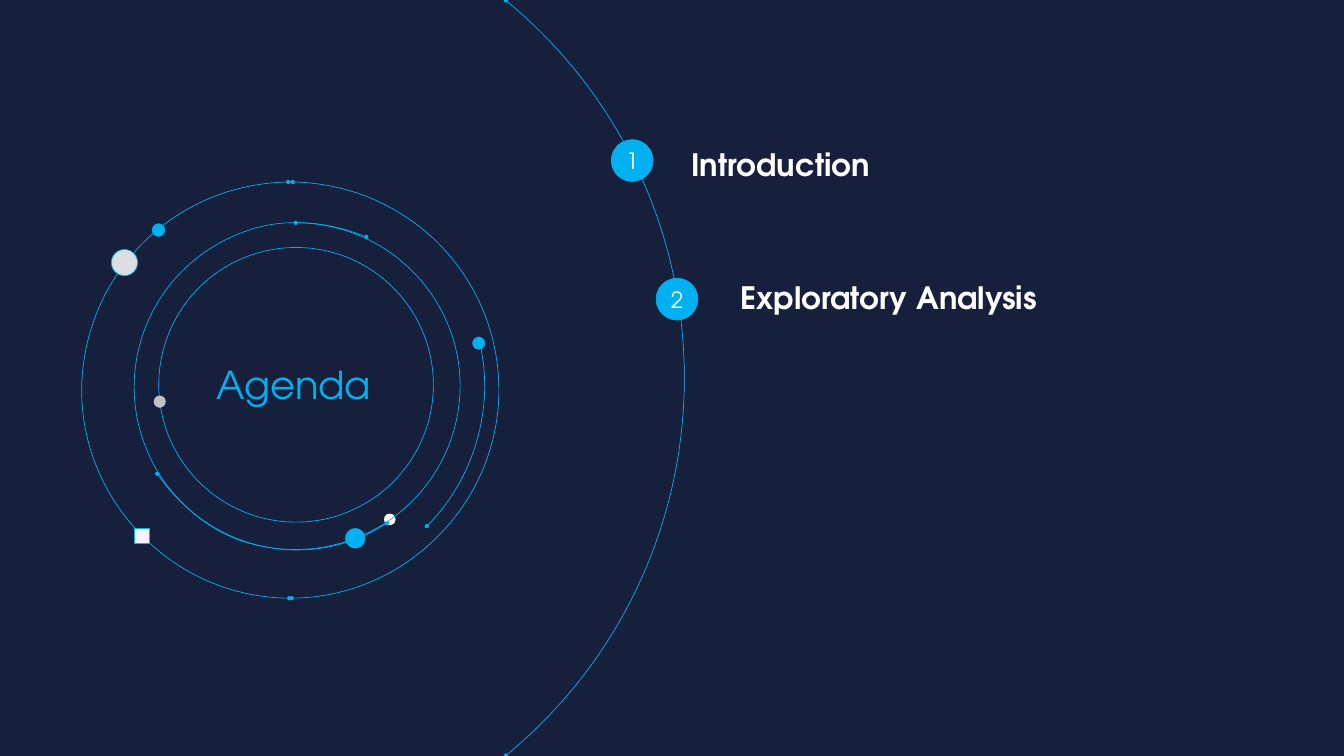
from dataclasses import dataclass
from typing import Optional

from lxml import etree
from pptx import Presentation
from pptx.dml.color import RGBColor
from pptx.enum.shapes import MSO_SHAPE
from pptx.enum.text import MSO_ANCHOR, MSO_AUTO_SIZE, PP_ALIGN
from pptx.oxml.ns import qn
from pptx.util import Inches, Pt

OVAL = MSO_SHAPE.OVAL
RECTANGLE = MSO_SHAPE.RECTANGLE
MIDDLE = MSO_ANCHOR.MIDDLE
TOP = MSO_ANCHOR.TOP
CENTER = PP_ALIGN.CENTER
LEFT = PP_ALIGN.LEFT
GROW = MSO_AUTO_SIZE.SHAPE_TO_FIT_TEXT
BLANK_LAYOUT = 6


@dataclass(frozen=True)
class Theme:
    font: str = "TeX Gyre Adventor"
    navy: str = "161F3C"
    blue: str = "00B0F0"
    white: str = "FFFFFF"
    lavender: str = "F7F4FF"
    silver: str = "DCDEE0"
    gray: str = "C0C3C5"
    line_width: float = 1
    title_size: float = 55
    item_size: float = 44
    number_size: float = 32


THEME = Theme()


@dataclass(frozen=True)
class Marker:
    left: float
    top: float
    size: float
    fill: Optional[str] = None
    outlined: bool = False
    kind: int = OVAL


@dataclass(frozen=True)
class Arc:
    start: tuple
    curves: tuple


@dataclass(frozen=True)
class AgendaItem:
    text: str
    circle_left: float
    circle_top: float
    text_left: float
    text_top: float
    text_width: float


OUTER_ARCS = (
    Arc((10.04, 0.01), (
        ((12.28, 1.85), (13.58, 4.6), (13.58, 7.5)),
        ((13.58, 10.4), (12.28, 13.15), (10.04, 14.99)),
    )),
    Arc((9.5, 6.72), (
        ((9.68, 7.42), (9.65, 8.16), (9.43, 8.85)),
        ((9.24, 9.45), (8.91, 10), (8.47, 10.44)),
    )),
)
HALF_RINGS = (
    Arc((5.79, 11.87), (
        ((4.61, 11.87), (3.56, 11.39), (2.81, 10.62)),
        ((2.06, 9.86), (1.62, 8.83), (1.62, 7.74)),
        ((1.63, 6.62), (2.07, 5.57), (2.86, 4.8)),
        ((3.61, 4.06), (4.65, 3.61), (5.81, 3.61)),
    )),
    Arc((5.74, 11.87), (
        ((6.91, 11.87), (7.96, 11.39), (8.71, 10.62)),
        ((9.46, 9.86), (9.9, 8.83), (9.9, 7.74)),
        ((9.9, 6.62), (9.45, 5.57), (8.67, 4.8)),
        ((7.91, 4.06), (6.87, 3.61), (5.72, 3.61)),
    )),
)
INNER_ARCS = (
    Arc((5.87, 4.42), (
        ((7.75, 4.43), (9.17, 5.98), (9.13, 7.73)),
        ((9.07, 9.86), (7.02, 11.39), (4.88, 10.76)),
        ((4.51, 10.65), (4.17, 10.45), (3.87, 10.21)),
        ((3.58, 9.97), (3.32, 9.69), (3.12, 9.4)),
    )),
    Arc((7.68, 10.38), (
        ((6.1, 11.4), (4.07, 10.88), (3.15, 9.39)),
        ((2.03, 7.57), (2.91, 5.17), (5.05, 4.53)),
        ((5.42, 4.42), (5.81, 4.4), (6.19, 4.43)),
        ((6.57, 4.47), (6.94, 4.57), (7.27, 4.7)),
    )),
)
INNER_MARKERS = (
    Marker(3.15, 4.91, 5.45, outlined=True),
    Marker(6.85, 10.48, 0.4, THEME.blue),
    Marker(3.05, 7.85, 0.24, THEME.gray),
    Marker(9.38, 6.69, 0.24, THEME.blue, True),
    Marker(7.62, 10.19, 0.23, THEME.white),
)
RING_MARKERS = (
    Marker(3.02, 4.44, 0.25, THEME.blue, True),
    Marker(2.67, 10.48, 0.3, THEME.lavender, True, RECTANGLE),
    Marker(2.21, 4.95, 0.52, THEME.silver, True),
)
HUB = Marker(3.4, 5.17, 4.94, THEME.navy)
ITEMS = (
    AgendaItem("Introduction", 12.13, 2.77, 13.62, 2.85, 10.49),
    AgendaItem("Exploratory Analysis", 13.02, 5.52, 14.6, 5.48, 10.06),
)


def paint(shape, fill: Optional[str], outlined: bool) -> None:
    shape.shadow.inherit = False
    if fill:
        shape.fill.solid()
        shape.fill.fore_color.rgb = RGBColor.from_string(fill)
    else:
        shape.fill.background()
    if outlined:
        shape.line.color.rgb = RGBColor.from_string(THEME.blue)
        shape.line.width = Pt(THEME.line_width)
    else:
        shape.line.fill.background()


def write(shape, text: str, *, size: float, color: str = THEME.white, bold: bool = False,
          align=CENTER, anchor=MIDDLE, wrap: bool = False, inset: Optional[float] = None) -> None:
    frame = shape.text_frame
    frame.word_wrap = wrap
    frame.vertical_anchor = anchor
    if inset is not None:
        frame.margin_left = frame.margin_right = Inches(inset)
        frame.margin_top = frame.margin_bottom = Inches(inset)
    paragraph = frame.paragraphs[0]
    paragraph.alignment = align
    run = paragraph.add_run()
    run.text = text
    run.font.name = THEME.font
    run.font.size = Pt(size)
    run.font.bold = bold
    run.font.color.rgb = RGBColor.from_string(color)


def draw_marker(slide, marker: Marker):
    shape = slide.shapes.add_shape(marker.kind, Inches(marker.left), Inches(marker.top),
                                   Inches(marker.size), Inches(marker.size))
    paint(shape, marker.fill, marker.outlined)
    return shape


def draw_arc(slide, arc: Arc) -> None:
    anchors = [tuple(Inches(value) for value in curve[-1]) for curve in arc.curves]
    builder = slide.shapes.build_freeform(Inches(arc.start[0]), Inches(arc.start[1]))
    builder.add_line_segments(anchors, close=False)
    shape = builder.convert_to_shape()
    paint(shape, None, True)
    segments = list(shape.element.iter(qn("a:lnTo")))
    for segment, curve in zip(segments, arc.curves):
        bezier = etree.Element(qn("a:cubicBezTo"))
        for x, y in curve:
            etree.SubElement(bezier, qn("a:pt"), x=str(Inches(x) - shape.left),
                             y=str(Inches(y) - shape.top))
        segment.getparent().replace(segment, bezier)
    outline = shape.element.spPr.find(qn("a:ln"))
    for end in ("a:headEnd", "a:tailEnd"):
        etree.SubElement(outline, qn(end), type="oval")


def draw_title(slide) -> None:
    shape = slide.shapes.add_shape(RECTANGLE, Inches(4.22), Inches(7.11), Inches(3.23), Inches(1.04))
    paint(shape, THEME.navy, False)
    write(shape, "Agenda", size=THEME.title_size, color=THEME.blue, inset=0.06)


def draw_item(slide, number: int, item: AgendaItem) -> None:
    circle = draw_marker(slide, Marker(item.circle_left, item.circle_top, 0.83, THEME.blue, True))
    write(circle, str(number), size=THEME.number_size, inset=0.06)
    box = slide.shapes.add_textbox(Inches(item.text_left), Inches(item.text_top),
                                   Inches(item.text_width), Inches(0.84))
    write(box, item.text, size=THEME.item_size, bold=True, align=LEFT, anchor=TOP, wrap=True)
    box.text_frame.auto_size = GROW


def main() -> None:
    presentation = Presentation()
    presentation.slide_width = Inches(26.67)
    presentation.slide_height = Inches(15)
    slide = presentation.slides.add_slide(presentation.slide_layouts[BLANK_LAYOUT])
    slide.background.fill.solid()
    slide.background.fill.fore_color.rgb = RGBColor.from_string(THEME.navy)

    for arc in OUTER_ARCS:
        draw_arc(slide, arc)
    for marker in (*INNER_MARKERS, HUB):
        draw_marker(slide, marker)
    draw_title(slide)
    for number, item in enumerate(ITEMS, start=1):
        draw_item(slide, number, item)
    for arc in HALF_RINGS:
        draw_arc(slide, arc)
    for marker in RING_MARKERS:
        draw_marker(slide, marker)
    for arc in INNER_ARCS:
        draw_arc(slide, arc)
    presentation.save("out.pptx")


if __name__ == "__main__":
    main()
